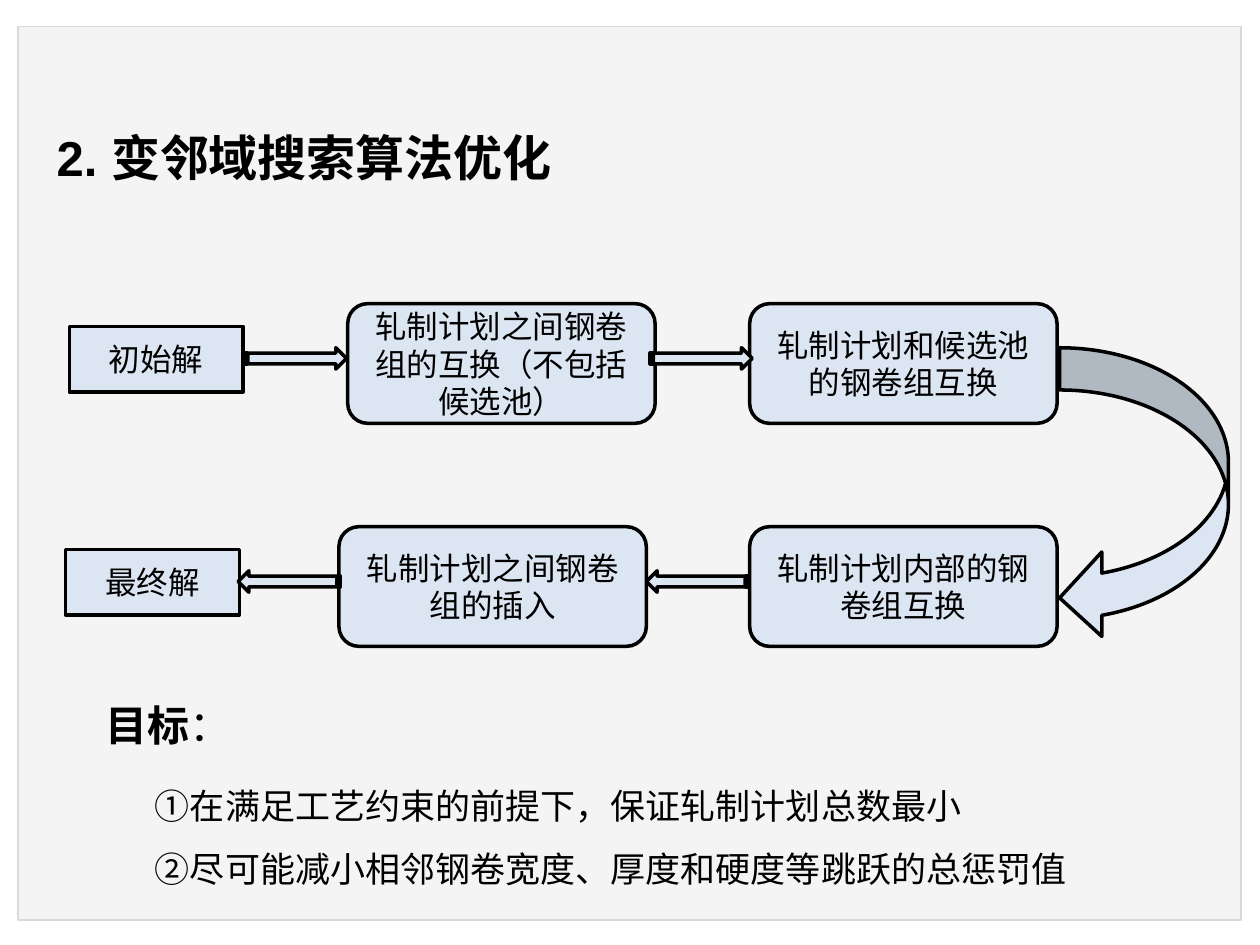
import dataclasses

import pptx
import pptx.dml.color
import pptx.enum.shapes
import pptx.enum.text
import pptx.oxml.ns
import pptx.util
from lxml import etree

Inches = pptx.util.Inches
Shape = pptx.enum.shapes.MSO_SHAPE
Align = pptx.enum.text.PP_ALIGN
Anchor = pptx.enum.text.MSO_ANCHOR
qn = pptx.oxml.ns.qn


@dataclasses.dataclass(frozen=True)
class Theme:
    panel: str = "F4F4F4"
    panel_line: str = "D9D9D9"
    node: str = "DCE6F2"
    ink: str = "000000"
    latin: str = "Arial"
    cjk: str = "Noto Sans CJK SC"
    title: int = 28
    heading: int = 24
    body: int = 20
    label: int = 18


@dataclasses.dataclass(frozen=True)
class Box:
    left: float
    top: float
    width: float
    height: float

    def inches(self):
        return [Inches(round(v, 2)) for v in dataclasses.astuple(self)]


THEME = Theme()
TERMINAL = (1.38, 0.52)
STEP = (2.44, 0.95)
ARROW = (0.81, 0.17)


def rgb(value):
    return pptx.dml.color.RGBColor.from_string(value)


def write(paragraph, text, size, font=THEME.cjk, bold=False, align=Align.LEFT, spacing=None):
    """Append a formatted run and set the paragraph's layout."""
    paragraph.alignment = align
    paragraph.space_before = pptx.util.Pt(0)
    if spacing:
        paragraph.line_spacing = spacing
    run = paragraph.add_run()
    run.text = text
    run.font.size = pptx.util.Pt(size)
    run.font.bold = bold
    run.font.name = font
    run.font.color.rgb = rgb(THEME.ink)
    east_asian = etree.Element(qn("a:ea"), typeface=THEME.cjk)
    run.font._element.find(qn("a:latin")).addnext(east_asian)


def place(holder, box, wrap=True):
    """Move a placeholder or text box and return its text frame."""
    holder.left, holder.top, holder.width, holder.height = box.inches()
    frame = holder.text_frame
    frame.word_wrap = wrap
    frame.auto_size = pptx.enum.text.MSO_AUTO_SIZE.NONE
    frame.vertical_anchor = Anchor.TOP
    return frame


def add_block(slide, kind, box, fill=THEME.node, line=THEME.ink, weight=2, text=None):
    block = slide.shapes.add_shape(kind, *box.inches())
    block.shadow.inherit = False
    block.fill.solid()
    block.fill.fore_color.rgb = rgb(fill)
    block.line.color.rgb = rgb(line)
    block.line.width = pptx.util.Pt(weight)
    if text:
        block.text_frame.word_wrap = True
        block.text_frame.vertical_anchor = Anchor.MIDDLE
        write(block.text_frame.paragraphs[0], text, THEME.label,
              font=THEME.latin, align=Align.CENTER)
    return block


def add_title(slide, box):
    paragraph = place(slide.shapes.title, box, wrap=False).paragraphs[0]
    write(paragraph, "2. ", THEME.title, font=THEME.latin, bold=True)
    write(paragraph, "变邻域搜索算法优化", THEME.title, bold=True)


def add_flow_row(slide, box, terminal, steps, step_lefts, arrow_lefts, rotation=0):
    """A terminal, then steps, joined by block arrows; lefts are offsets in the box."""
    add_block(slide, Shape.RECTANGLE, Box(box.left, box.top + 0.18, *TERMINAL), text=terminal)
    for text, left in zip(steps, step_lefts):
        add_block(slide, Shape.ROUNDED_RECTANGLE,
                  Box(box.left + left, box.top, *STEP), text=text)
    for left in arrow_lefts:
        arrow = add_block(slide, Shape.STRIPED_RIGHT_ARROW,
                          Box(box.left + left, box.top + 0.35, *ARROW))
        arrow.rotation = rotation


def add_flow(slide, box):
    add_flow_row(slide, Box(box.left + 0.03, box.top, 7.84, STEP[1]), "初始解",
                 ["轧制计划之间钢卷组的互换（不包括候选池）", "轧制计划和候选池的钢卷组互换"],
                 step_lefts=[2.21, 5.4], arrow_lefts=[1.39, 4.61])
    add_flow_row(slide, Box(box.left, box.top + 1.77, 7.87, STEP[1]), "最终解",
                 ["轧制计划之间钢卷组的插入", "轧制计划内部的钢卷组互换"],
                 step_lefts=[2.17, 5.43], arrow_lefts=[1.37, 4.61], rotation=180)
    add_block(slide, Shape.CURVED_LEFT_ARROW,
              Box(box.left + box.width - 1.34, box.top + 0.35, 1.34, 2.32))


def add_goals(slide, box):
    heading = slide.shapes.add_textbox(0, 0, 0, 0)
    paragraph = place(heading, Box(box.left, box.top, 1.2, 0.5), wrap=False).paragraphs[0]
    write(paragraph, "目标", THEME.heading, bold=True)
    write(paragraph, "：", THEME.heading)

    goals = place(slide.placeholders[1],
                  Box(box.left + 0.39, box.top + 0.51, box.width - 0.39, 1.11))
    for index, goal in enumerate(["①在满足工艺约束的前提下，保证轧制计划总数最小",
                                  "②尽可能减小相邻钢卷宽度、厚度和硬度等跳跃的总惩罚值"]):
        paragraph = goals.add_paragraph() if index else goals.paragraphs[0]
        write(paragraph, goal, THEME.body, spacing=1.5)
        properties = paragraph._p.get_or_add_pPr()
        properties.set("marL", "0")
        properties.set("indent", "0")
        etree.SubElement(properties, qn("a:buNone"))


def main():
    deck = pptx.Presentation()
    deck.slide_width, deck.slide_height = Inches(10), Inches(7.5)
    slide = deck.slides.add_slide(deck.slide_layouts[1])
    panel = add_block(slide, Shape.RECTANGLE, Box(0.14, 0.21, 9.71, 7.09),
                      fill=THEME.panel, line=THEME.panel_line, weight=1)
    slide.shapes.title._element.addprevious(panel._element)
    add_title(slide, Box(0.35, 0.96, 4.24, 0.57))
    add_flow(slide, Box(0.52, 2.41, 9.23, 2.72))
    add_goals(slide, Box(0.74, 5.5, 9.21, 1.62))
    deck.save("out.pptx")


if __name__ == "__main__":
    main()
